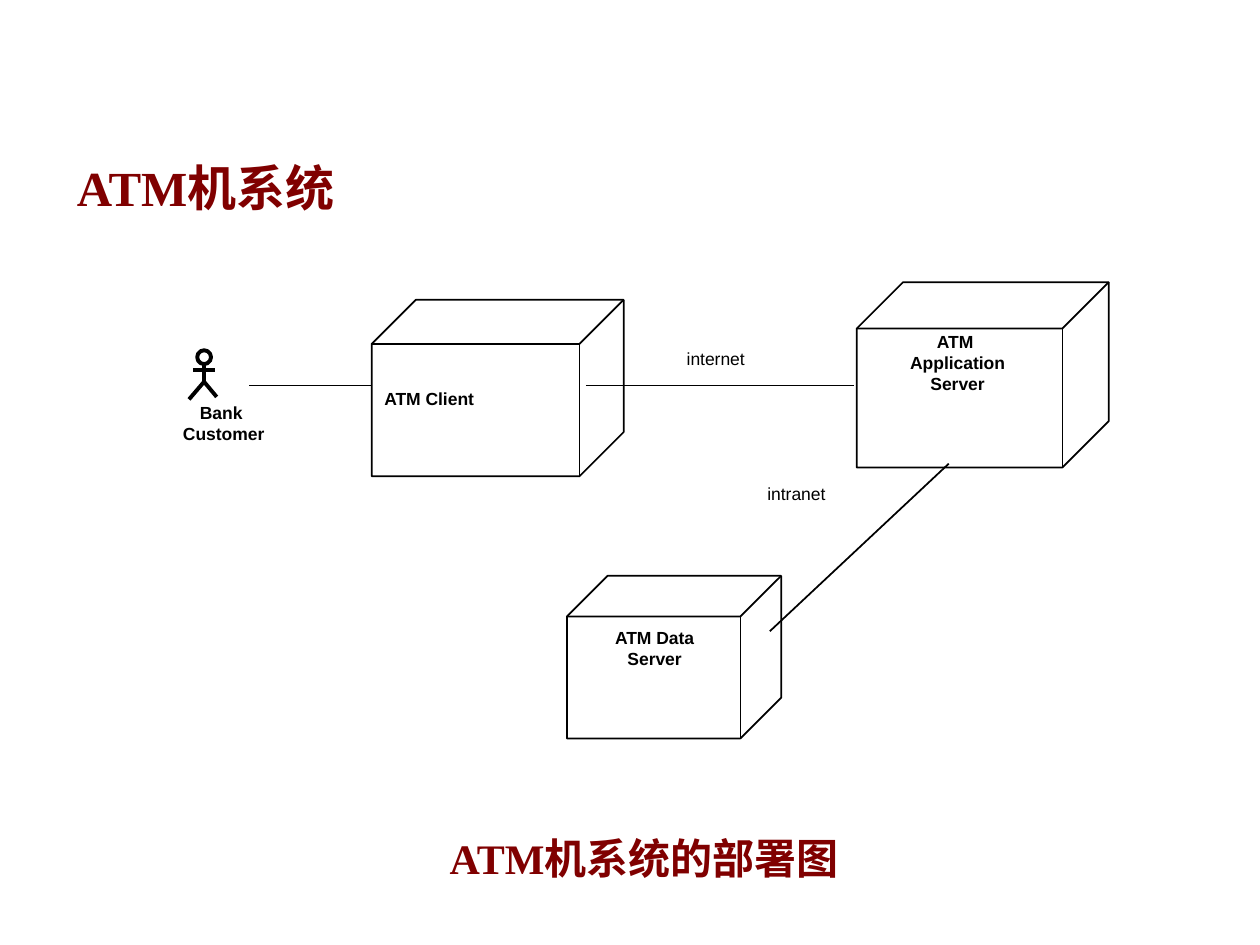
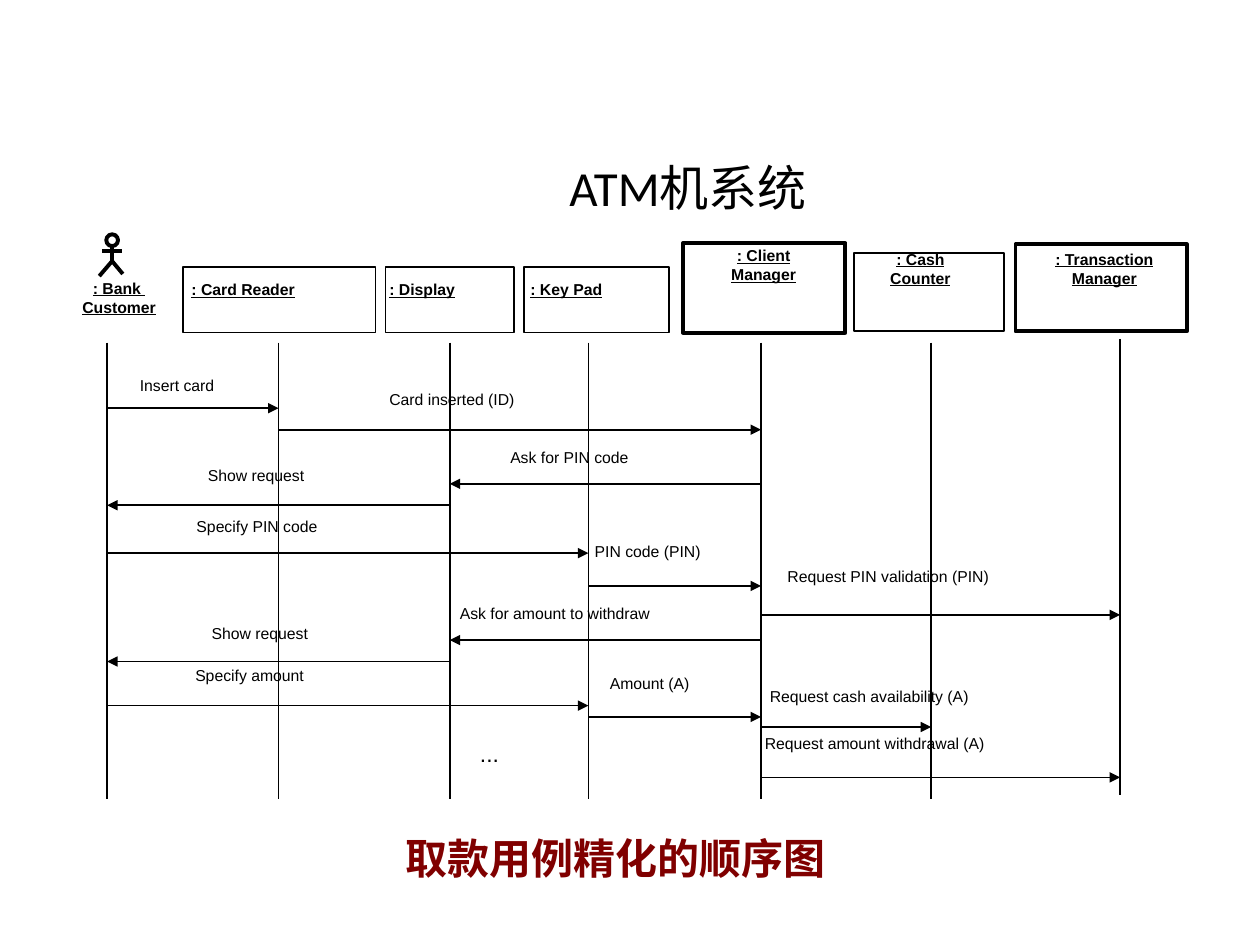
from lxml import etree
from pptx import Presentation
from pptx.dml.color import RGBColor
from pptx.enum import shapes, text
from pptx.oxml.ns import qn
from pptx.util import Inches, Pt

COLORS = {"ink": "000000", "paper": "FFFFFF", "heading": "800000"}
LEFT, CENTER = text.PP_ALIGN.LEFT, text.PP_ALIGN.CENTER
TITLE_ONLY = 5
THIN, THICK = 1, 2.25


def rgb(name):
    return RGBColor.from_string(COLORS[name])


def write(frame, wording, size, face="Arial", color="ink", bold=False,
          underline=False, align=LEFT):
    frame.text = wording
    for paragraph in frame.paragraphs:
        paragraph.alignment = align
        for run in paragraph.runs:
            font = run.font
            font.name, font.size = face, Pt(size)
            font.bold, font.underline = bold, underline
            font.color.rgb = rgb(color)


def add_title(slide, left, wording, **style):
    title = slide.shapes.title
    title.left, title.top = Inches(left), Inches(0.76)
    title.width, title.height = Inches(9.08), Inches(1.01)
    frame = title.text_frame
    frame.auto_size = text.MSO_AUTO_SIZE.NONE
    frame.vertical_anchor = text.MSO_ANCHOR.BOTTOM
    write(frame, wording, 28, **style)


def add_caption(slide, left, width, wording):
    caption = slide.shapes.add_textbox(
        Inches(left), Inches(6.56), Inches(width), Inches(0.5))
    frame = caption.text_frame
    frame.word_wrap = False
    frame.auto_size = text.MSO_AUTO_SIZE.SHAPE_TO_FIT_TEXT
    write(frame, wording, 24, "Times New Roman", "heading", bold=True)


def add_label(slide, left, top, width, wording, size, **style):
    height = 0.35 * len(wording.split("\n"))
    label = slide.shapes.add_textbox(
        Inches(left), Inches(top), Inches(width), Inches(height))
    frame = label.text_frame
    frame.word_wrap = True
    frame.margin_left = frame.margin_right = 0
    frame.margin_top = frame.margin_bottom = 0
    write(frame, wording, size, **style)


def add_outline(slide, kind, left, top, width, height, weight=THIN, fill=None):
    outline = slide.shapes.add_shape(
        kind, Inches(left), Inches(top), Inches(width), Inches(height))
    outline.shadow.inherit = False
    outline.line.color.rgb = rgb("ink")
    outline.line.width = Pt(weight)
    if fill:
        outline.fill.solid()
        outline.fill.fore_color.rgb = rgb(fill)
    else:
        outline.fill.background()


def add_line(slide, start, end, weight=THIN, arrow=False):
    line = slide.shapes.add_connector(
        shapes.MSO_CONNECTOR.STRAIGHT, *map(Inches, start + end))
    line.line.color.rgb = rgb("ink")
    line.line.width = Pt(weight)
    properties = line._element.spPr
    if arrow:
        etree.SubElement(properties.find(qn("a:ln")), qn("a:tailEnd"),
                         type="triangle")
    etree.SubElement(properties, qn("a:effectLst"))


def add_actor(slide, center, top, scale=1.0):
    """Stick figure hung from the top of its head."""
    def at(dx, dy):
        return center + dx * scale, top + dy * scale

    head = 0.11 * scale
    add_outline(slide, shapes.MSO_SHAPE.OVAL, center - head / 2, top, head,
                head, THICK, "paper")
    hip = at(0, 0.25)
    limbs = [(at(0, 0.11), hip), (hip, at(-0.12, 0.39)),
             (hip, at(0.1, 0.37)), (at(-0.09, 0.16), at(0.09, 0.16))]
    for start, end in limbs:
        add_line(slide, start, end, THICK)


def build_deployment(slide):
    add_title(slide, 0.51, "ATM机系统", face="Times New Roman",
              color="heading", bold=True)

    # Nodes
    for node in [(2.95, 2.38, 2, 1.4), (6.8, 2.24, 2, 1.47),
                 (4.5, 4.57, 1.7, 1.29)]:
        add_outline(slide, shapes.MSO_SHAPE.CUBE, *node)
    add_actor(slide, 1.62, 2.78)
    for left, top, width, name, align in [
            (1.1, 3.19, 1.35, "Bank \nCustomer", CENTER),
            (3.05, 3.08, 1.34, "ATM Client", LEFT),
            (6.98, 2.63, 1.24, "ATM \nApplication\nServer", CENTER),
            (4.67, 4.98, 1.05, "ATM Data\nServer", CENTER)]:
        add_label(slide, left, top, width, name, 10, bold=True, align=align)

    # Links
    for start, end in [((1.98, 3.06), (2.95, 3.06)),
                       ((4.65, 3.06), (6.78, 3.06)),
                       ((7.53, 3.68), (6.11, 5.01))]:
        add_line(slide, start, end)
    add_label(slide, 5.45, 2.76, 1.03, "internet", 10)
    add_label(slide, 6.09, 3.83, 0.94, "intranet", 10)

    add_caption(slide, 3.47, 3.39, "ATM机系统的部署图")


def build_sequence(slide):
    add_title(slide, 0.92, "ATM机系统", face="Calibri", align=CENTER)

    # Participants: box, weight, then name with its place
    add_actor(slide, 0.89, 1.86, 0.85)
    for box, weight, name, left, top, width, align in [
            (None, None, ": Bank \nCustomer", 0.35, 2.21, 1.19, CENTER),
            ((1.45, 2.12, 1.53, 0.52), THIN, ": Card Reader",
             1.52, 2.22, 1.4, LEFT),
            ((3.06, 2.12, 1.02, 0.52), THIN, ": Display",
             3.09, 2.22, 0.95, LEFT),
            ((4.16, 2.12, 1.15, 0.52), THIN, ": Key Pad",
             4.21, 2.22, 1.04, LEFT),
            ((5.42, 1.93, 1.29, 0.71), THICK, ": Client\nManager",
             5.5, 1.95, 1.12, CENTER),
            ((6.78, 2.01, 1.19, 0.62), THIN, ": Cash\nCounter",
             6.8, 1.98, 1.01, CENTER),
            ((8.06, 1.94, 1.36, 0.69), THICK, ": Transaction\nManager",
             8.05, 1.98, 1.43, CENTER)]:
        if box:
            add_outline(slide, shapes.MSO_SHAPE.RECTANGLE, *box, weight)
        add_label(slide, left, top, width, name, 9, bold=True,
                  underline=True, align=align)

    # Lifelines
    lifelines = {"customer": 0.85, "reader": 2.21, "display": 3.57,
                 "keypad": 4.67, "client": 6.04, "counter": 7.39,
                 "transaction": 8.89}
    for name, x in lifelines.items():
        top = 2.69 if name == "transaction" else 2.72
        add_line(slide, (x, top), (x, top + 3.62))

    # Messages: sender, receiver, arrow height, wording, its left and top
    for sender, receiver, y, wording, left, top in [
            ("customer", "reader", 3.24, "Insert card", 1.11, 2.98),
            ("reader", "client", 3.41, "Card inserted (ID)", 3.09, 3.09),
            ("client", "display", 3.84, "Ask for PIN code", 4.05, 3.55),
            ("display", "customer", 4.01, "Show request", 1.65, 3.7),
            ("customer", "keypad", 4.39, "Specify PIN code", 1.56, 4.1),
            ("keypad", "client", 4.65, "PIN code (PIN)", 4.72, 4.3),
            ("client", "transaction", 4.88, "Request PIN validation (PIN)",
             6.25, 4.5),
            ("client", "display", 5.08, "Ask for amount to withdraw",
             3.65, 4.79),
            ("display", "customer", 5.25, "Show request", 1.68, 4.95),
            ("customer", "keypad", 5.6, "Specify amount", 1.55, 5.28),
            ("keypad", "client", 5.69, "Amount (A)", 4.84, 5.35),
            ("client", "counter", 5.77, "Request cash availability (A)",
             6.11, 5.45),
            ("client", "transaction", 6.17, "Request amount withdrawal (A)",
             6.07, 5.82)]:
        add_line(slide, (lifelines[sender], y), (lifelines[receiver], y),
                 arrow=True)
        add_label(slide, left, top, 0.1 * len(wording), wording, 9)
    add_label(slide, 3.81, 5.87, 1.06, "...", 13)

    add_caption(slide, 3.12, 3.53, "取款用例精化的顺序图")


def main():
    deck = Presentation()
    deck.slide_width, deck.slide_height = Inches(10), Inches(7.5)
    for build in (build_deployment, build_sequence):
        build(deck.slides.add_slide(deck.slide_layouts[TITLE_ONLY]))
    deck.save("out.pptx")


if __name__ == "__main__":
    main()
